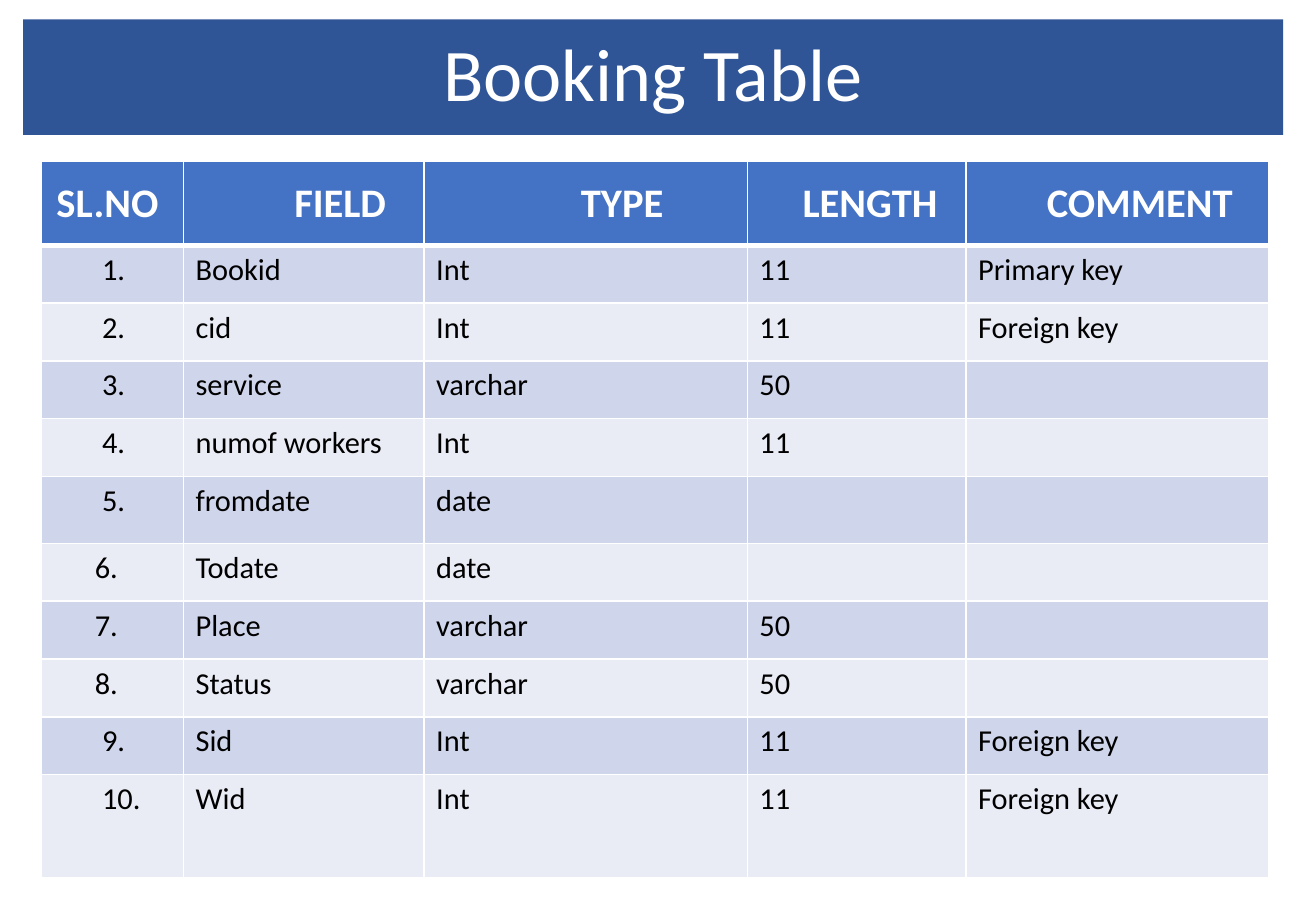
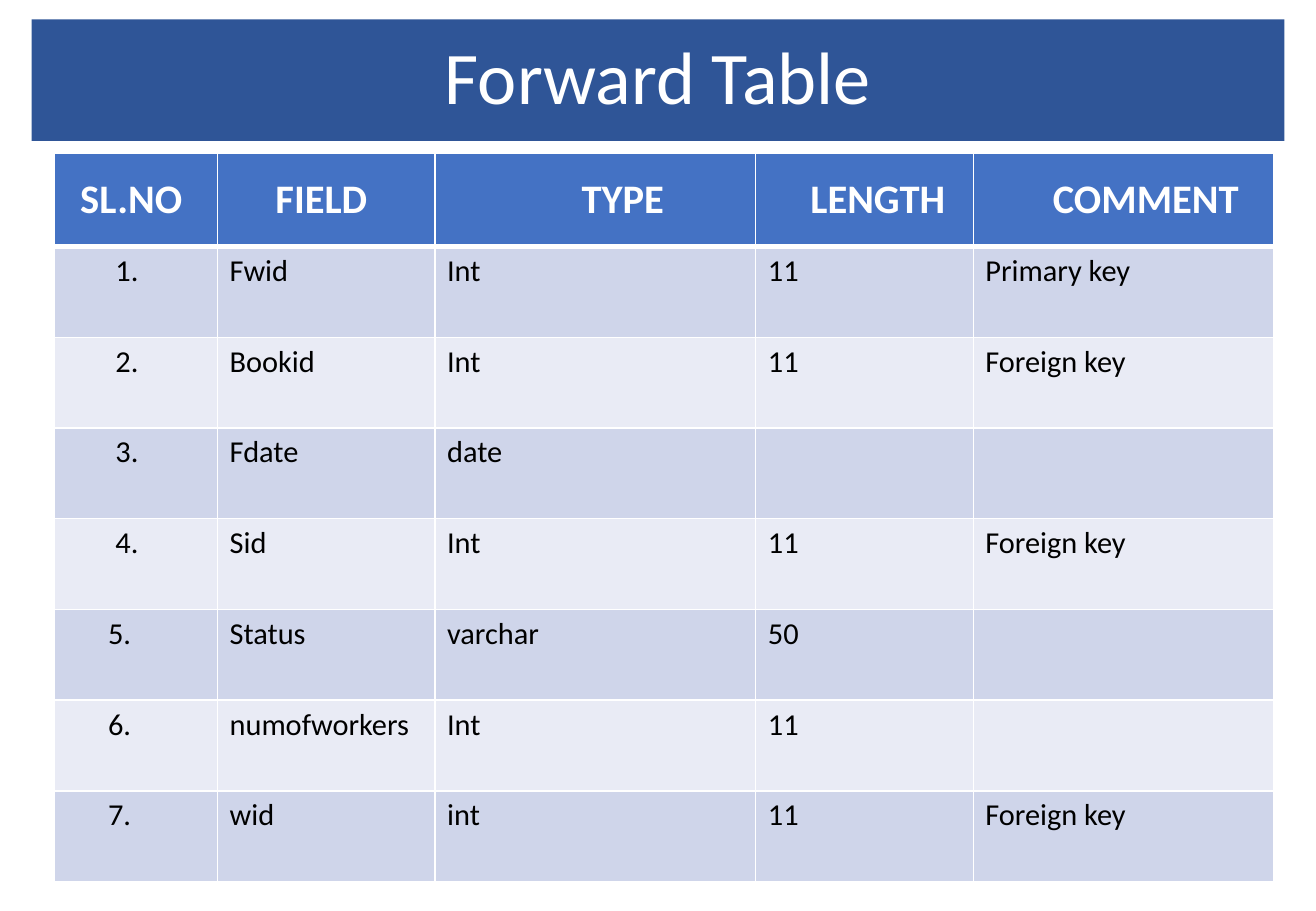
from dataclasses import dataclass

from lxml import etree
from pptx import Presentation
from pptx.dml.color import RGBColor
from pptx.enum.shapes import MSO_SHAPE
from pptx.enum.text import MSO_ANCHOR, PP_ALIGN
from pptx.oxml.ns import qn
from pptx.util import Inches, Pt

RECT = MSO_SHAPE.RECTANGLE
MIDDLE, TOP = MSO_ANCHOR.MIDDLE, MSO_ANCHOR.TOP
CENTER, LEFT = PP_ALIGN.CENTER, PP_ALIGN.LEFT

# Shared style
BAND, HEADER, WHITE, BLACK = "2F5597", "4472C4", "FFFFFF", "000000"
STRIPES = ("CFD5EA", "E9EBF5")
TITLE_FONT = {"name": "Calibri", "size": Pt(44), "bold": False}
HEAD_FONT = {"name": "Calibri", "size": Pt(24), "bold": True}
BODY_FONT = {"name": "Calibri", "size": Pt(18), "bold": False}
HEADINGS = ("SL.NO", "FIELD", "TYPE", "LENGTH", "COMMENT")
PAD, HEAD_RIGHT = 0.1, 0.18
NUMBER_INDENT, SHORT_INDENT = 0.5, 0.44
THIN, THICK = 1, 3


@dataclass
class TableSlide:
    title: str
    band: tuple[float, float, float, float]
    left: float
    top: float
    height: float
    cols: tuple[float, ...]
    special_rows: dict[int, float]  # other rows share what is left
    head_indents: tuple[float, ...]
    short_numbers: range  # row numbers set slightly further left
    fields: list[tuple[str, str, str, str]]


SLIDES = [
    TableSlide(
        "Booking Table", (0.19, 0.16, 10.37, 0.95), 0.34, 1.33, 5.9,
        (1.17, 1.98, 2.66, 1.8, 2.49), {0: 0.69, 5: 0.55, 10: 0.85},
        (0.1, 0.78, 0.78, 0.4, 0.55), range(6, 9),
        [
            ("Bookid", "Int", "11", "Primary key"),
            ("cid", "Int", "11", "Foreign key"),
            ("service", "varchar", "50", ""),
            ("numof workers", "Int", "11", ""),
            ("fromdate", "date", "", ""),
            ("Todate", "date", "", ""),
            ("Place", "varchar", "50", ""),
            ("Status", "varchar", "50", ""),
            ("Sid", "Int", "11", "Foreign key"),
            ("Wid", "Int", "11", "Foreign key"),
        ],
    ),
    TableSlide(
        "Forward Table", (0.26, 0.16, 10.31, 1), 0.45, 1.26, 6,
        (1.34, 1.79, 2.64, 1.79, 2.47), {0: 0.77},
        (0.1, 0.1, 0.63, 0.4, 0.55), range(5, 8),
        [
            ("Fwid", "Int", "11", "Primary key"),
            ("Bookid", "Int", "11", "Foreign key"),
            ("Fdate", "date", "", ""),
            ("Sid", "Int", "11", "Foreign key"),
            ("Status", "varchar", "50", ""),
            ("numofworkers", "Int", "11", ""),
            ("wid", "int", "11", "Foreign key"),
        ],
    ),
]


def rgb(color: str) -> RGBColor:
    return RGBColor.from_string(color)


def write(tf, text: str, fmt: dict, color: str, align):
    p = tf.paragraphs[0]
    p.alignment = align
    if text:
        r = p.add_run()
        r.text = text
        font = r.font
        font.color.rgb = rgb(color)
    else:
        font = p.font
    for name, value in fmt.items():
        setattr(font, name, value)
    return p


def add_band(s, spec: TableSlide) -> None:
    sp = s.shapes.add_shape(RECT, *(Inches(v) for v in spec.band))
    sp.shadow.inherit = False
    sp.fill.solid()
    sp.fill.fore_color.rgb = rgb(BAND)
    sp.line.fill.background()
    tf = sp.text_frame
    tf.word_wrap = True
    tf.vertical_anchor = MIDDLE
    write(tf, spec.title, TITLE_FONT, WHITE, CENTER).line_spacing = 0.9


def set_borders(cell, top: int, bottom: int) -> None:
    tc_pr = cell._tc.get_or_add_tcPr()
    for side, width in {"L": THIN, "R": THIN, "T": top, "B": bottom}.items():
        ln = etree.SubElement(tc_pr, qn(f"a:ln{side}"), w=str(Pt(width)))
        fill = etree.SubElement(ln, qn("a:solidFill"))
        etree.SubElement(fill, qn("a:srgbClr"), val=WHITE)


def style_cell(cell, row: int, indent: float) -> None:
    header = row == 0
    set_borders(cell, THICK if row == 1 else THIN, THICK if header else THIN)
    cell.fill.solid()
    cell.fill.fore_color.rgb = rgb(HEADER if header else STRIPES[(row - 1) % 2])
    cell.vertical_anchor = MIDDLE if header else TOP
    cell.margin_left = Inches(indent)
    cell.margin_right = Inches(HEAD_RIGHT if header else PAD)


def add_field_table(s, spec: TableSlide) -> None:
    rows = [HEADINGS] + [(f"{n}.", *f) for n, f in enumerate(spec.fields, 1)]
    special = spec.special_rows
    shared = (spec.height - sum(special.values())) / (len(rows) - len(special))
    table = s.shapes.add_table(
        len(rows), len(spec.cols), Inches(spec.left), Inches(spec.top),
        Inches(sum(spec.cols)), Inches(spec.height)).table
    for col, width in zip(table.columns, spec.cols):
        col.width = Inches(width)
    for i, texts in enumerate(rows):
        table.rows[i].height = Inches(special.get(i, shared))
        number_indent = SHORT_INDENT if i in spec.short_numbers else NUMBER_INDENT
        indents = (number_indent, PAD, PAD, PAD, PAD) if i else spec.head_indents
        look = (BODY_FONT, BLACK, LEFT) if i else (HEAD_FONT, WHITE, CENTER)
        for j, text in enumerate(texts):
            cell = table.cell(i, j)
            style_cell(cell, i, indents[j])
            write(cell.text_frame, text, *look)


def main() -> None:
    prs = Presentation()
    prs.slide_width, prs.slide_height = Inches(10.83), Inches(7.5)
    for spec in SLIDES:
        s = prs.slides.add_slide(prs.slide_layouts[6])
        add_band(s, spec)
        add_field_table(s, spec)
    prs.save("out.pptx")


if __name__ == "__main__":
    main()
